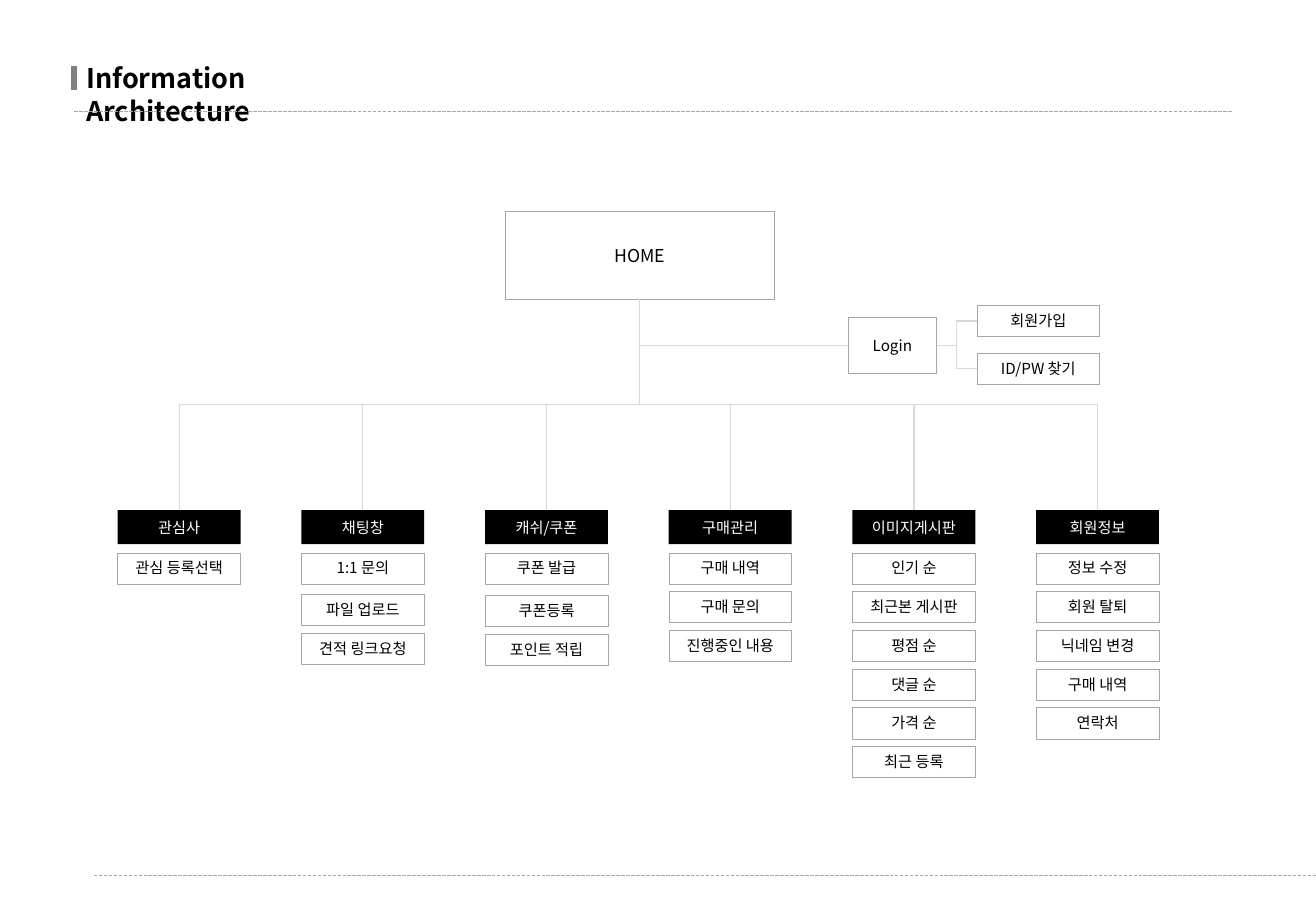
"""Build the Information Architecture sitemap slide."""
from lxml import etree
from pptx import Presentation
from pptx.dml.color import RGBColor
from pptx.enum.dml import MSO_LINE
from pptx.enum.shapes import MSO_CONNECTOR, MSO_SHAPE
from pptx.enum.text import MSO_ANCHOR, MSO_AUTO_SIZE, PP_ALIGN
from pptx.oxml.ns import qn
from pptx.util import Cm, Pt

RECTANGLE = MSO_SHAPE.RECTANGLE
STRAIGHT, ELBOW = MSO_CONNECTOR.STRAIGHT, MSO_CONNECTOR.ELBOW
SYS_DASH = MSO_LINE.SQUARE_DOT
TOP, MIDDLE = MSO_ANCHOR.TOP, MSO_ANCHOR.MIDDLE
LEFT, CENTER = PP_ALIGN.LEFT, PP_ALIGN.CENTER
NO_AUTOFIT = MSO_AUTO_SIZE.NONE

BLACK = RGBColor(0x00, 0x00, 0x00)
WHITE = RGBColor(0xFF, 0xFF, 0xFF)
BORDER_GRAY = RGBColor(0xA6, 0xA6, 0xA6)
MARKER_GRAY = RGBColor(0x80, 0x80, 0x80)
LINK_GRAY = RGBColor(0xD9, 0xD9, 0xD9)
FONT = "Noto Sans CJK KR"

PAGE_WIDTH, PAGE_HEIGHT = 27.51, 19.05
BOX_WIDTH, BOX_HEIGHT = 2.57, 0.65
MENU_LEFT, MENU_TOP, MENU_PITCH, MENU_HEIGHT = 2.46, 10.67, 3.84, 0.71
PAGE_TOP, PAGE_PITCH = 11.56, 0.81

MENUS = [
    ("관심사", 0, ["관심 등록선택"]),
    ("채팅창", 0.06, ["1:1 문의", "파일 업로드", "견적 링크요청"]),
    ("캐쉬/쿠폰", 0.08, ["쿠폰 발급", "쿠폰등록", "포인트 적립"]),
    ("구매관리", 0, ["구매 내역", "구매 문의", "진행중인 내용"]),
    ("이미지게시판", 0, ["인기 순", "최근본 게시판", "평점 순", "댓글 순", "가격 순", "최근 등록"]),
    ("회원정보", 0, ["정보 수정", "회원 탈퇴", "닉네임 변경", "구매 내역", "연락처"]),
]

prs = Presentation()
prs.slide_width, prs.slide_height = Cm(PAGE_WIDTH), Cm(PAGE_HEIGHT)
slide = prs.slides.add_slide(prs.slide_layouts[5])


def add_box(label, left, top, width=BOX_WIDTH, height=BOX_HEIGHT, fill=None, size=9, anchor=TOP):
    """Add a labelled rectangle, black ones without a border."""
    box = slide.shapes.add_shape(RECTANGLE, Cm(left), Cm(top), Cm(width), Cm(height))
    box.shadow.inherit = False
    if fill is None:
        box.fill.background()
    else:
        box.fill.solid()
        box.fill.fore_color.rgb = fill
    if fill == BLACK:
        box.line.fill.background()
    else:
        box.line.color.rgb = BORDER_GRAY
        box.line.width = Pt(0.25)
    box.text_frame.vertical_anchor = anchor
    paragraph = box.text_frame.paragraphs[0]
    paragraph.alignment = CENTER
    run = paragraph.add_run()
    run.text = label
    run.font.size = Pt(size)
    run.font.name = FONT
    run.font.color.rgb = WHITE if fill == BLACK else BLACK
    etree.SubElement(run.font._element, qn("a:ea"), typeface=FONT)
    return box


def add_line(kind, color, width, x1=0, y1=0, x2=0, y2=0):
    """Add a connector without a shadow."""
    line = slide.shapes.add_connector(kind, Cm(x1), Cm(y1), Cm(x2), Cm(y2))
    line.line.color.rgb = color
    line.line.width = Pt(width)
    etree.SubElement(line._element.spPr, qn("a:effectLst"))
    return line


title = slide.shapes.title
title.left, title.top, title.width, title.height = Cm(1.55), Cm(1.17), Cm(7.2), Cm(0.94)
title_frame = title.text_frame
title_frame.word_wrap = True
title_frame.auto_size = NO_AUTOFIT
title_frame.vertical_anchor = TOP
title_frame.paragraphs[0].alignment = LEFT
title_run = title_frame.paragraphs[0].add_run()
title_run.text = "Information Architecture"
title_run.font.size = Pt(16)
title_run.font.bold = True
title_run.font.name = FONT
title_run.font.color.rgb = BLACK
etree.SubElement(title_run.font._element, qn("a:ea"), typeface=FONT)

add_line(STRAIGHT, MARKER_GRAY, 3.75, 1.55, 1.37, 1.55, 1.88)
for rule_left, rule_right, rule_y in [(1.55, 25.76, 2.33), (1.96, PAGE_WIDTH, 18.31)]:
    rule = add_line(STRAIGHT, BORDER_GRAY, 0.75, rule_left, rule_y, rule_right, rule_y)
    rule.line.dash_style = SYS_DASH

home = add_box("HOME", 10.56, 4.42, 5.62, 1.84, WHITE, 10.5, MIDDLE)
login = add_box("Login", 17.73, 6.63, 1.85, 1.18, WHITE, 9, MIDDLE)
for label, top in [("회원가입", 6.39), ("ID/PW 찾기", 7.38)]:
    account_box = add_box(label, 20.42, top)
    account_link = add_line(ELBOW, LINK_GRAY, 0.75)
    account_link.begin_connect(login, 3)
    account_link.end_connect(account_box, 1)

branches = [(login, 1, "bentConnector2")]
for column, (menu, shift, pages) in enumerate(MENUS):
    left = MENU_LEFT + column * MENU_PITCH
    menu_box = add_box(menu, left, MENU_TOP, height=MENU_HEIGHT, fill=BLACK, anchor=MIDDLE)
    branches.append((menu_box, 0, "bentConnector3"))
    for row, page in enumerate(pages):
        add_box(page, left, PAGE_TOP + row * PAGE_PITCH + (shift if row else 0))

for target, side, bend in branches:
    branch = add_line(ELBOW, LINK_GRAY, 0.75)
    branch.begin_connect(home, 2)
    branch.end_connect(target, side)
    across = branch.end_x - branch.begin_x
    down = branch.end_y - branch.begin_y
    middle_x = (branch.begin_x + branch.end_x) // 2
    middle_y = (branch.begin_y + branch.end_y) // 2
    branch.left, branch.top = middle_x - down // 2, middle_y - abs(across) // 2
    branch.width, branch.height = down, abs(across)
    frame = branch._element.spPr.find(qn("a:xfrm"))
    frame.set("rot", "16200000" if across > 0 else "5400000")
    frame.set("flipH", "1" if across > 0 else "0")
    branch._element.spPr.find(qn("a:prstGeom")).set("prst", bend)

prs.save("out.pptx")
